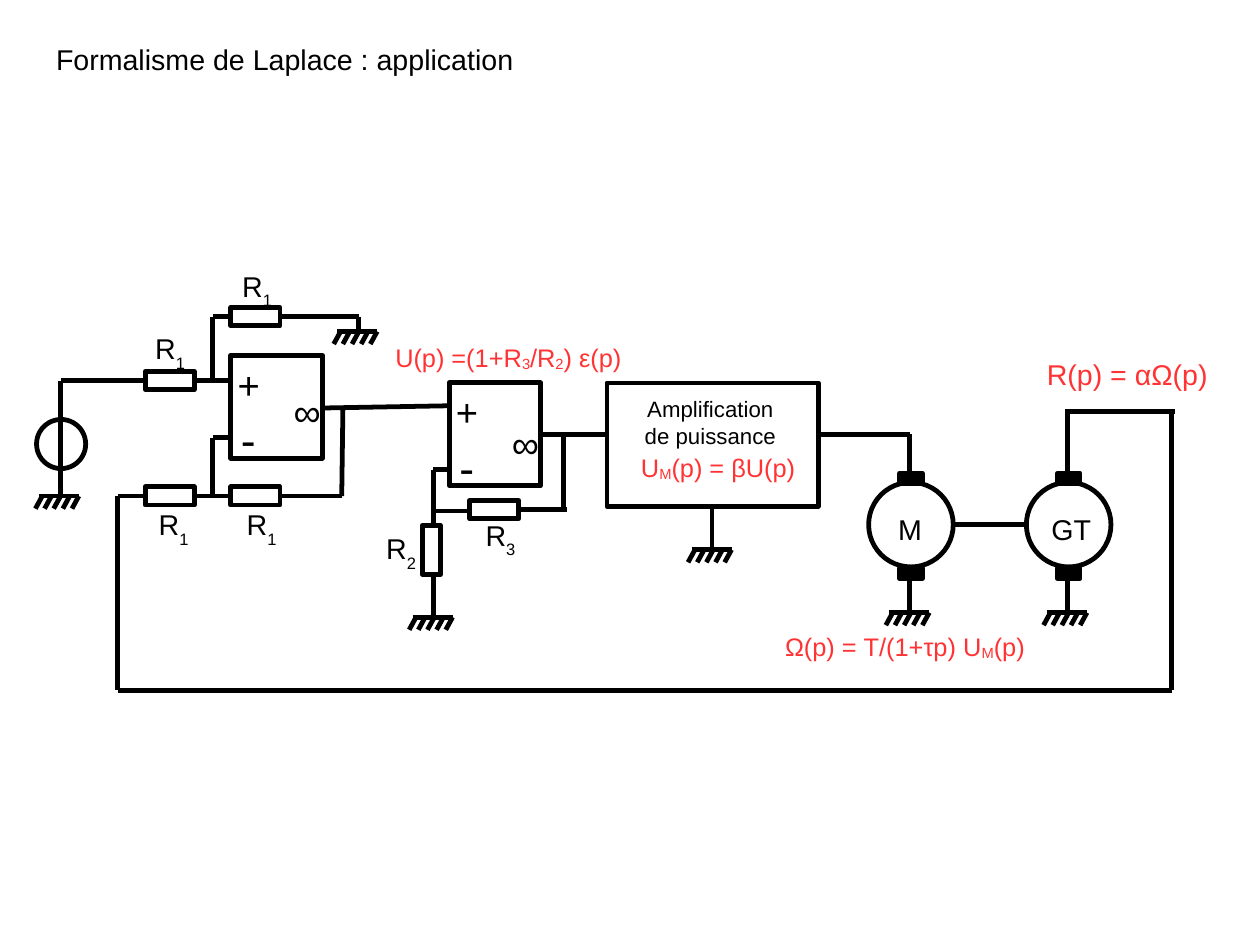
from dataclasses import dataclass
from itertools import pairwise

from lxml.etree import SubElement
from pptx import Presentation
from pptx.dml.color import RGBColor
from pptx.enum.shapes import MSO_CONNECTOR as Connector, MSO_SHAPE as Preset
from pptx.enum.text import MSO_ANCHOR as Anchor, MSO_AUTO_SIZE as AutoSize, PP_ALIGN as Align
from pptx.oxml.ns import qn
from pptx.util import Cm, Inches, Pt

BLACK, WHITE, RED = "000000", "FFFFFF", "FF3333"
LINE_WIDTH = Pt(3)


@dataclass(frozen=True)
class Resistor:
    left: float
    top: float
    name: str
    name_left: float
    name_top: float
    rotation: int = 0


@dataclass(frozen=True)
class OpAmp:
    left: float
    top: float
    infinity_drop: float


@dataclass(frozen=True)
class Machine:
    left: float
    name: str
    name_left: float
    name_width: float


@dataclass(frozen=True)
class Formula:
    text: str
    left: float
    top: float
    width: float
    size: int = 16


RESISTORS = [
    Resistor(1.27, 3.25, "R_1", 1.26, 2.85),
    Resistor(2.02, 2.69, "R_1", 2.02, 2.3),
    Resistor(1.27, 4.26, "R_1", 1.29, 4.39),
    Resistor(2.02, 4.26, "R_1", 2.06, 4.39),
    Resistor(3.56, 4.73, "R_2", 3.28, 4.6, 270),
    Resistor(4.11, 4.38, "R_3", 4.15, 4.48),
]
OP_AMPS = [OpAmp(2.02, 3.11, 0.24), OpAmp(3.93, 3.35, 0.28)]
MACHINES = [Machine(7.6, "M", 7.76, 0.39), Machine(8.98, "GT", 9.1, 0.63)]
FORMULAS = [
    Formula("R(p) = αΩ(p)", 9.06, 3.07, 1.65, 18),
    Formula("Ω(p) = T/(1+τp) U_M_(p)", 6.77, 5.47, 2.52),
    Formula("U_M_(p) = βU(p)", 5.51, 3.91, 1.57),
    Formula("U(p) =(1+R_3_/R_2_) ε(p)", 3.36, 2.94, 2.28),
]
WIRES = [
    [(0.53, 4.34), (0.53, 3.33), (1.27, 3.33)],
    [(1.7, 3.33), (2.02, 3.33)],
    [(1.86, 3.33), (1.86, 2.77), (2.02, 2.77)],
    [(2.44, 2.77), (3.14, 2.77), (3.14, 2.9)],
    [(1.7, 4.34), (2.02, 4.34)],
    [(1.86, 4.34), (1.86, 3.83), (2.02, 3.83)],
    [(2.45, 4.34), (2.99, 4.34), (3, 3.57)],
    [(2.82, 3.57), (3.93, 3.55)],
    [(3.95, 4.11), (3.79, 4.11), (3.79, 4.59)],
    [(3.79, 4.47), (4.09, 4.47)],
    [(3.79, 5.01), (3.79, 5.4)],
    [(4.53, 4.46), (4.96, 4.46)],
    [(4.93, 4.46), (4.93, 3.8)],
    [(4.71, 3.8), (5.31, 3.8)],
    [(6.23, 4.42), (6.23, 4.81)],
    [(7.15, 3.8), (7.96, 3.8), (7.96, 4.22)],
    [(8.35, 4.59), (8.98, 4.59)],
    [(1.27, 4.34), (1.03, 4.34), (1.03, 6.04), (10.25, 6.04), (10.25, 3.6)],
    [(9.32, 3.6), (10.28, 3.6)],
    [(9.34, 3.6), (9.34, 4.22)],
]
GROUNDS = [(0.52, 4.34), (3.13, 2.9), (3.79, 5.4), (6.23, 4.81)]


def rgb(color: str) -> RGBColor:
    return RGBColor.from_string(color)


def write(frame, text: str, *, size: int, color: str = BLACK,
          align=Align.LEFT, baseline: int = -33) -> None:
    """Fill a text frame; pieces between underscores are subscripts, baseline in percent."""
    frame.word_wrap = True
    frame.auto_size = AutoSize.NONE
    frame.vertical_anchor = Anchor.TOP
    frame.margin_left = frame.margin_right = Inches(0.1)
    frame.margin_top = frame.margin_bottom = Inches(0.05)
    for row, line in enumerate(text.split("\n")):
        para = frame.add_paragraph() if row else frame.paragraphs[0]
        para.alignment = align
        for index, piece in enumerate(line.split("_")):
            if not piece:
                continue
            span = para.add_run()
            span.text = piece
            span.font.name, span.font.size = "Arial", Pt(size)
            span.font.color.rgb = rgb(color)
            if index % 2:
                span.font._element.set("baseline", str(baseline * 1000))


def add_label(slide, text: str, left: float, top: float, width: float = 0.5,
              height: float = 0.44, **text_format) -> None:
    box = slide.shapes.add_textbox(Inches(left), Inches(top), Inches(width), Inches(height))
    write(box.text_frame, text, **text_format)


def add_outline(slide, preset, left: float, top: float, width: float, height: float,
                fill: str = WHITE, rotation: int = 0) -> None:
    shape = slide.shapes.add_shape(preset, Inches(left), Inches(top), Inches(width), Inches(height))
    shape.shadow.inherit = False
    shape.fill.solid()
    shape.fill.fore_color.rgb = rgb(fill)
    shape.line.color.rgb = rgb(BLACK)
    shape.line.width = LINE_WIDTH
    shape.rotation = rotation


def add_wire(slide, points: list[tuple[float, float]]) -> None:
    for start, end in pairwise(points):
        wire = slide.shapes.add_connector(Connector.STRAIGHT, *map(Inches, start + end))
        wire.line.color.rgb = rgb(BLACK)
        wire.line.width = LINE_WIDTH
        SubElement(wire._element.spPr, qn("a:effectLst"))


def add_ground(slide, x: float, y: float) -> None:
    right = x + 0.17
    add_wire(slide, [(x - 0.18, y), (right, y)])
    for tick in range(5):
        tip = right - 0.08 * tick
        add_wire(slide, [(tip - 0.06, y + 0.11), (tip, y)])


def add_resistor(slide, item: Resistor) -> None:
    add_outline(slide, Preset.RECTANGLE, item.left, item.top, 0.43, 0.16, rotation=item.rotation)
    add_label(slide, item.name, item.name_left, item.name_top, size=18)


def add_op_amp(slide, item: OpAmp) -> None:
    add_outline(slide, Preset.RECTANGLE, item.left, item.top, 0.8, 0.9)
    add_label(slide, "+", item.left - 0.04, item.top, 0.35, 0.47, size=24)
    add_label(slide, "-", item.left - 0.01, item.top + 0.45, 0.27, 0.53, size=28)
    add_label(slide, "∞", item.left + 0.45, item.top + item.infinity_drop, 0.27, 0.47, size=24)


def add_machine(slide, item: Machine) -> None:
    """Draw a rotating machine with its two brushes and its ground."""
    add_outline(slide, Preset.OVAL, item.left, 4.22, 0.74, 0.74)
    for top in (4.14, 4.97):
        add_outline(slide, Preset.RECTANGLE, item.left + 0.27, top, 0.2, 0.09, fill=BLACK)
    axis = item.left + 0.36
    add_wire(slide, [(axis, 4.97), (axis, 5.36)])
    add_ground(slide, axis, 5.36)
    add_label(slide, item.name, item.name_left, 4.43, item.name_width, 0.38, size=18)


def main() -> None:
    deck = Presentation()
    deck.slide_width, deck.slide_height = Cm(28), Cm(21)
    slide = deck.slides.add_slide(deck.slide_layouts[5])

    title = slide.shapes.title
    title.left, title.top = Inches(0.39), Inches(0.32)
    title.width, title.height = Inches(4.65), Inches(0.38)
    write(title.text_frame, "Formalisme de Laplace : application", size=18)

    add_outline(slide, Preset.OVAL, 0.32, 3.67, 0.43, 0.43)
    add_outline(slide, Preset.RECTANGLE, 5.31, 3.35, 1.85, 1.08)
    add_label(slide, "Amplification\nde puissance", 5.31, 3.41, 1.81, 0.54,
              size=14, align=Align.CENTER)
    for op_amp in OP_AMPS:
        add_op_amp(slide, op_amp)
    for machine in MACHINES:
        add_machine(slide, machine)
    for points in WIRES:
        add_wire(slide, points)
    for resistor in RESISTORS:
        add_resistor(slide, resistor)
    for x, y in GROUNDS:
        add_ground(slide, x, y)
    for formula in FORMULAS:
        add_label(slide, formula.text, formula.left, formula.top, formula.width, 0.42,
                  size=formula.size, color=RED, baseline=-8)
    deck.save("out.pptx")


if __name__ == "__main__":
    main()
